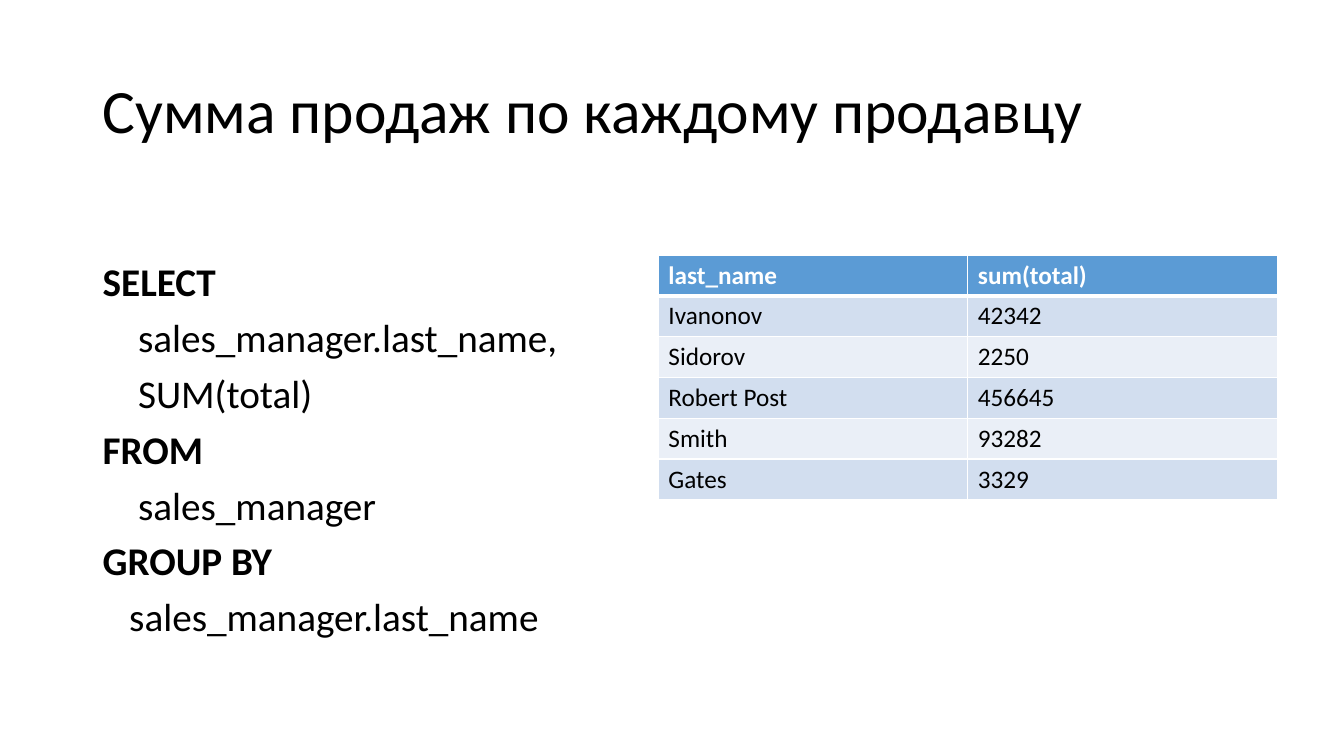
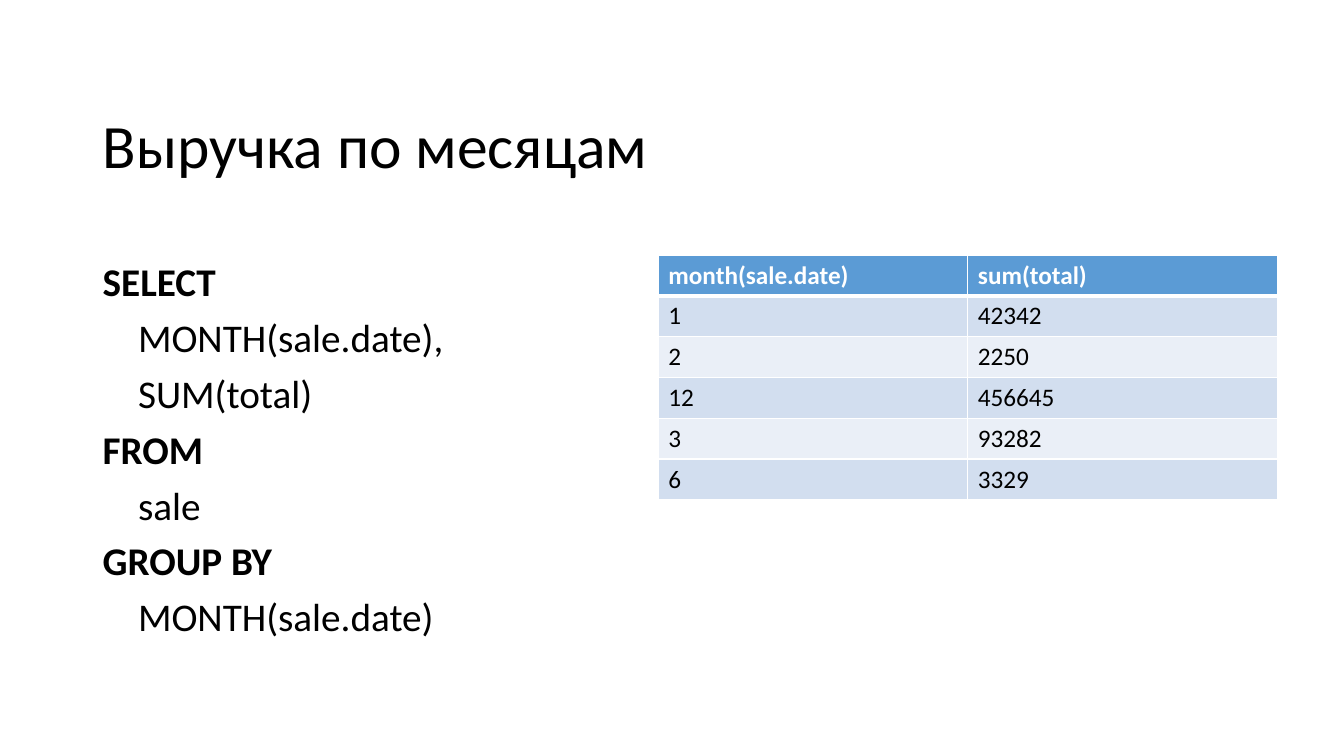
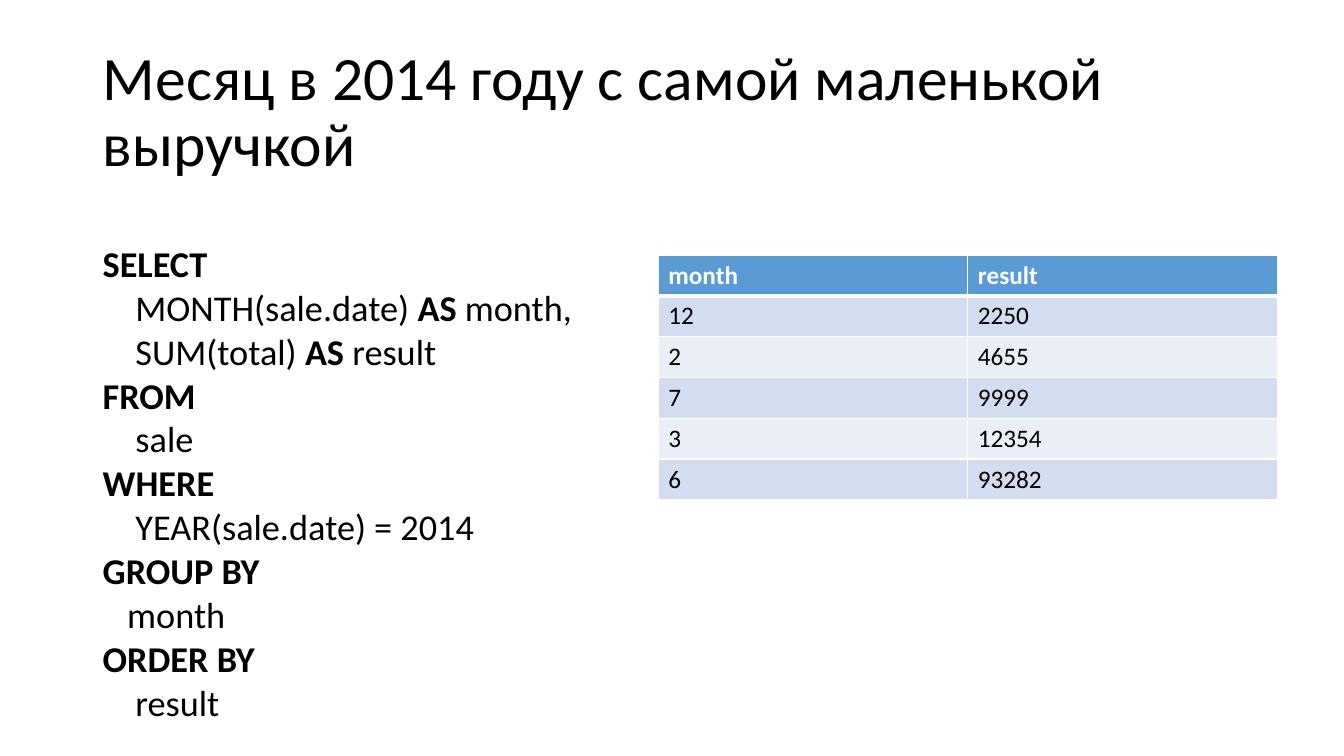
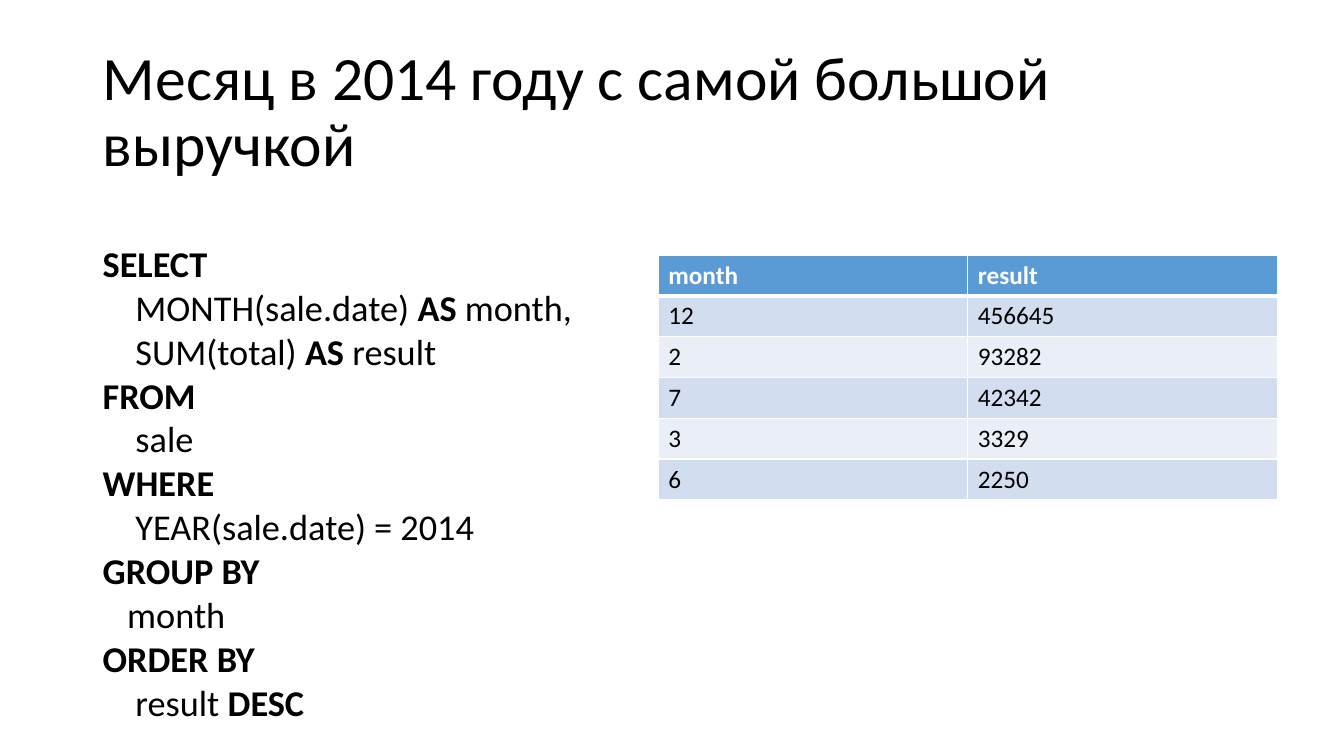
from dataclasses import dataclass
from itertools import groupby

from pptx import Presentation
from pptx.dml.color import RGBColor
from pptx.enum.text import MSO_ANCHOR, MSO_AUTO_SIZE, PP_ALIGN
from pptx.oxml.ns import qn
from pptx.util import Inches, Pt
from lxml.etree import SubElement


@dataclass(frozen=True)
class Theme:
    """Colours, font and type sizes of the deck."""
    font: str = "Calibri"
    ink: str = "000000"
    paper: str = "FFFFFF"
    header: str = "5B9BD5"
    bands: tuple = ("D2DEEF", "EAEFF7")
    title_size: float = 44
    table_size: float = 18
    line_gap: float = 9.6
    space_width: float = 0.226
    thin: float = 1
    thick: float = 3


@dataclass(frozen=True)
class CodeStyle:
    """Type size, line spacing and box of a query."""
    size: float
    spacing: float
    box: tuple


THEME = Theme()
TITLE_BOX = (0.92, 0.4, 11.5, 1.45)
TABLE_BOX = (6.53, 2.53, 6.14, 2.43)
ROOMY = CodeStyle(28, 0.9, (0.92, 2.56, 5.13, 4.2))
DENSE = CodeStyle(25.9, 0.7, (0.92, 2.46, 5.13, 4.86))
KEYWORDS = {"SELECT", "FROM", "WHERE", "GROUP", "ORDER", "BY", "AS", "DESC"}


def add_text(para, text, size, color=THEME.ink, bold=False):
    """Append a formatted run to a paragraph."""
    span = para.add_run()
    span.text = text
    span.font.name = THEME.font
    span.font.size = Pt(size)
    span.font.bold = bold
    span.font.color.rgb = RGBColor.from_string(color)


def place_title(page, text, box, anchor):
    """Move the title placeholder to its box and fill it."""
    title = page.shapes.title
    title.left, title.top, title.width, title.height = map(Inches, box)
    frame = title.text_frame
    frame.word_wrap = True
    frame.auto_size = MSO_AUTO_SIZE.NONE
    frame.vertical_anchor = anchor
    para = frame.paragraphs[0]
    para.alignment = PP_ALIGN.LEFT
    para.line_spacing = 0.9
    add_text(para, text, size=THEME.title_size)


def place_query(page, lines, style):
    """Set a query line by line, with its keywords in bold."""
    frame = page.shapes.add_textbox(*map(Inches, style.box)).text_frame
    frame.word_wrap = True
    for index, (indent, line) in enumerate(lines):
        para = frame.paragraphs[0] if index == 0 else frame.add_paragraph()
        para.line_spacing = style.spacing
        para.space_before = Pt(THEME.line_gap if index else 0)
        margin = Pt(indent * THEME.space_width * style.size)
        para._p.get_or_add_pPr().set("marL", str(margin))
        words = [word + " " for word in line.split()]
        words[-1] = words[-1].rstrip()
        for bold, group in groupby(words, lambda word: word.strip() in KEYWORDS):
            add_text(para, "".join(group), size=style.size, bold=bold)


def set_border(cell, side, width):
    """Draw one side of a cell in the paper colour."""
    line = SubElement(cell._tc.get_or_add_tcPr(), qn(f"a:ln{side}"), w=str(Pt(width)))
    fill = SubElement(line, qn("a:solidFill"))
    SubElement(fill, qn("a:srgbClr"), val=THEME.paper)


def fill_cell(cell, text, row):
    """Format one cell as header or banded body."""
    is_header = row == 0
    widths = {
        "L": THEME.thin,
        "R": THEME.thin,
        "T": THEME.thick if row == 1 else THEME.thin,
        "B": THEME.thick if is_header else THEME.thin,
    }
    for side, width in widths.items():
        set_border(cell, side, width)
    cell.fill.solid()
    color = THEME.header if is_header else THEME.bands[(row - 1) % 2]
    cell.fill.fore_color.rgb = RGBColor.from_string(color)
    add_text(cell.text_frame.paragraphs[0], text, size=THEME.table_size,
             color=THEME.paper if is_header else THEME.ink, bold=is_header)


def place_table(page, records, box):
    """Lay out the query result with equal rows and columns."""
    left, top, width, height = box
    table = page.shapes.add_table(len(records), len(records[0]),
                                  *map(Inches, box)).table
    for column in table.columns:
        column.width = Inches(width / len(records[0]))
    for row, record in enumerate(records):
        table.rows[row].height = Inches(height / len(records))
        for column, text in enumerate(record):
            fill_cell(table.cell(row, column), text, row)


def add_query_slide(deck, title, lines, style, records, anchor=MSO_ANCHOR.MIDDLE):
    """Build a slide with a query beside its result."""
    page = deck.slides.add_slide(deck.slide_layouts.get_by_name("Title Only"))
    place_title(page, title, TITLE_BOX, anchor)
    place_query(page, lines, style)
    place_table(page, records, TABLE_BOX)


def total_query(field, source, group_indent):
    """Return the lines of a query that sums totals by a field."""
    return [(0, "SELECT"), (4, f"{field},"), (4, "SUM(total)"),
            (0, "FROM"), (4, source),
            (0, "GROUP BY"), (group_indent, field)]


def ranking_query(order):
    """Return the lines of a query that ranks the months of 2014."""
    return [(0, "SELECT"), (4, "MONTH(sale.date) AS month,"),
            (4, "SUM(total) AS result"),
            (0, "FROM"), (4, "sale"),
            (0, "WHERE"), (4, "YEAR(sale.date) = 2014"),
            (0, "GROUP BY"), (3, "month"),
            (0, "ORDER BY"), (4, order)]


def result(headings, keys, values):
    """Join headings, keys and values into table records."""
    return [headings, *zip(keys, values)]


def main():
    """Build and save the deck."""
    deck = Presentation()
    deck.slide_width, deck.slide_height = Inches(13.33), Inches(7.5)
    totals = ("42342", "2250", "456645", "93282", "3329")
    months = ("12", "2", "7", "3", "6")
    ranking = ("month", "result")

    add_query_slide(
        deck, "Cумма продаж по каждому продавцу",
        total_query("sales_manager.last_name", "sales_manager", 3), ROOMY,
        result(("last_name", "sum(total)"),
               ("Ivanonov", "Sidorov", "Robert Post", "Smith", "Gates"), totals))
    add_query_slide(
        deck, "Выручка по месяцам",
        total_query("MONTH(sale.date)", "sale", 4), ROOMY,
        result(("month(sale.date)", "sum(total)"),
               ("1", "2", "12", "3", "6"), totals),
        anchor=MSO_ANCHOR.BOTTOM)
    add_query_slide(
        deck, "Месяц в 2014 году с самой маленькой выручкой",
        ranking_query("result"), DENSE,
        result(ranking, months, ("2250", "4655", "9999", "12354", "93282")))
    add_query_slide(
        deck, "Месяц в 2014 году с самой большой выручкой",
        ranking_query("result DESC"), DENSE,
        result(ranking, months, ("456645", "93282", "42342", "3329", "2250")))
    deck.save("out.pptx")


if __name__ == "__main__":
    main()
